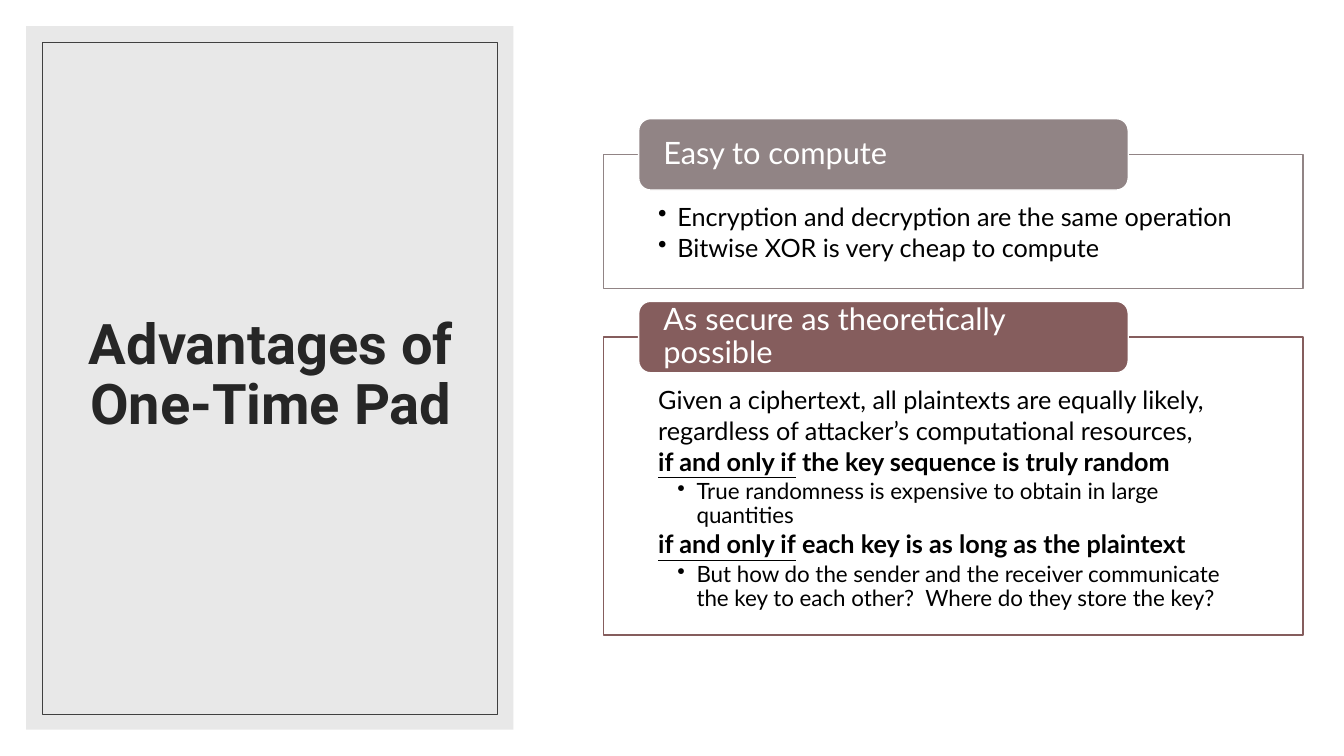
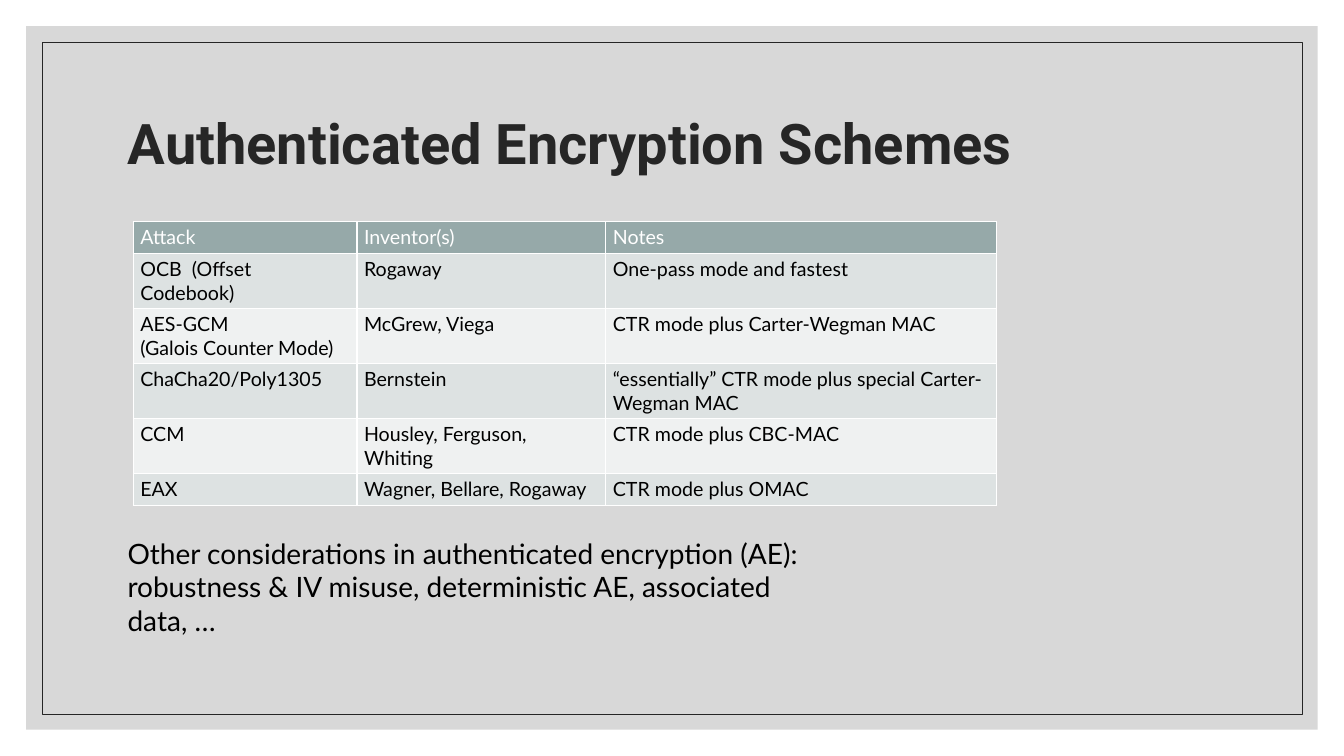
"""Build two slides on one-time pads and authenticated encryption."""
from lxml import etree
from pptx import Presentation, util as u
from pptx.dml.color import RGBColor
from pptx.enum import shapes, text
from pptx.oxml import ns

COLS, ROWS = 128, 72
BOX, ROUND = shapes.MSO_SHAPE.RECTANGLE, shapes.MSO_SHAPE.ROUNDED_RECTANGLE
LEFT, MID = text.PP_ALIGN.LEFT, text.PP_ALIGN.CENTER
WHITE, BLACK, INK = "FFFFFF", "000000", "262626"
GREY, ROSE, SAGE = "918485", "855D5D", "96A9A9"
BANDS = ("DDE2E2", "EFF1F1")
HEAD, BODY = "Roboto", "Lato"


def tint(code):
    return RGBColor.from_string(code)


def node(host, tag, **attrs):
    return etree.SubElement(host, ns.qn(tag), attrs)


class Deck:
    """Hold the style and the current slide."""

    def __init__(self):
        self.deck = Presentation()
        self.deck.slide_width = u.Inches(13.33)
        self.deck.slide_height = u.Inches(7.5)
        self.cell = (self.deck.slide_width / COLS, self.deck.slide_height / ROWS)

    def across(self, cols):
        return int(cols * self.cell[0])

    def down(self, rows):
        return int(rows * self.cell[1])

    def area(self, x, y, wide, high):
        return self.across(x), self.down(y), self.across(wide), self.down(high)

    def page(self):
        self.slide = self.deck.slides.add_slide(self.deck.slide_layouts[5])

    def shape(self, kind, area, fill=None, line=None, weight=1, alpha=100):
        item = self.slide.shapes.add_shape(kind, *self.area(*area))
        item.shadow.inherit = False
        if fill:
            item.fill.solid()
            item.fill.fore_color.rgb = tint(fill)
            if alpha < 100:
                shade = item.fill._xPr.find(".//" + ns.qn("a:srgbClr"))
                node(shade, "a:alpha", val=str(alpha * 1000))
        else:
            item.fill.background()
        if line:
            item.line.color.rgb = tint(line)
            item.line.width = u.Pt(weight)
        else:
            item.line.fill.background()
        return item

    def pad(self, frame, left, top, right, bottom):
        frame.margin_left, frame.margin_right = u.Inches(left), u.Inches(right)
        frame.margin_top, frame.margin_bottom = u.Inches(top), u.Inches(bottom)

    def run(self, para, words, size, color=BLACK, face=BODY, bold=False, under=False):
        bit = para.add_run()
        bit.text = words
        font = bit.font
        font.size, font.name, font.color.rgb = u.Pt(size), face, tint(color)
        font.bold, font.underline = bold, under

    def lines(self, frame, words, size, color=BLACK):
        for spot, line in enumerate(words.split("\n")):
            para = frame.add_paragraph() if spot else frame.paragraphs[0]
            para.alignment = LEFT
            self.run(para, line, size, color)

    def frame(self, wide, fill, line):
        edge, inset = 2.5, 1.5
        high = ROWS - 2 * edge
        self.shape(BOX, (edge, edge, wide, high), fill, alpha=60)
        start = edge + inset
        self.shape(BOX, (start, start, wide - 2 * inset, high - 2 * inset),
                   line=line, weight=0.5)

    def title(self, words, area, align):
        item = self.slide.shapes.title
        item.left, item.top, item.width, item.height = self.area(*area)
        item.element.getparent().append(item.element)
        frame = item.text_frame
        frame.word_wrap = True
        frame.auto_size = text.MSO_AUTO_SIZE.NONE
        frame.vertical_anchor = text.MSO_ANCHOR.MIDDLE
        self.pad(frame, 0.1, 0.05, 0.1, 0.05)
        para = frame.paragraphs[0]
        para.alignment, para.line_spacing = align, 0.9
        self.run(para, words, 40, INK, HEAD, bold=True)

    def card(self, label, color, top, high, paras):
        x, wide, tab = 57.5, 66.6, 6.8
        body = self.shape(BOX, (x, top, wide, high), WHITE, color, alpha=90)
        frame = body.text_frame
        frame.word_wrap = True
        frame.vertical_anchor = text.MSO_ANCHOR.TOP
        self.pad(frame, 0.54, 0.5, 0.54, 0.14)
        for spot, (level, dot, runs) in enumerate(paras):
            para = frame.add_paragraph() if spot else frame.paragraphs[0]
            size = 20 - 2 * level
            props = para._p.get_or_add_pPr()
            props.set("marL", str(u.Inches(0.19 * level)))
            props.set("indent", str(u.Inches(-0.19)))
            if dot:
                node(props, "a:buChar", char="•")
            para.alignment, para.line_spacing = LEFT, 0.9
            para.space_after = u.Pt(0.15 * size)
            for words, bold, under in runs:
                self.run(para, words, size, bold=bold, under=under)
        item = self.shape(ROUND, (x + wide * 0.05, top - tab / 2, wide * 0.7, tab),
                          color, WHITE)
        frame = item.text_frame
        frame.word_wrap = True
        frame.vertical_anchor = text.MSO_ANCHOR.MIDDLE
        self.pad(frame, 0.21, 0.03, 0.21, 0.03)
        self.lines(frame, label, 22, WHITE)
        frame.paragraphs[0].line_spacing = 0.9

    def table(self, x, y, wides, highs, data):
        area = self.area(x, y, sum(wides), sum(highs))
        grid = self.slide.shapes.add_table(len(highs), len(wides), *area).table
        for col, wide in zip(grid.columns, wides):
            col.width = self.across(wide)
        for at, (row, high, words) in enumerate(zip(grid.rows, highs, data)):
            row.height = self.down(high)
            fill = BANDS[(at - 1) % 2] if at else SAGE
            for cell, word in zip(row.cells, words):
                self.pad(cell, 0.07, 0.04, 0.07, 0.04)
                props = cell._tc.get_or_add_tcPr()
                for side in "LRTB":
                    edge = node(props, "a:ln" + side, w=str(u.Pt(1)))
                    node(node(edge, "a:solidFill"), "a:srgbClr", val=WHITE)
                cell.fill.solid()
                cell.fill.fore_color.rgb = tint(fill)
                self.lines(cell.text_frame, word, 14, BLACK if at else WHITE)

    def note(self, words, area):
        frame = self.slide.shapes.add_textbox(*self.area(*area)).text_frame
        frame.word_wrap = True
        self.lines(frame, words, 20)


def plain(words):
    return [(words, False, False)]


def only(words):
    return [("if and only if", True, True), (words, True, False)]


def main():
    deck = Deck()
    deck.page()
    deck.frame(46.4, "D9D9D9", "404040")
    deck.title("Advantages of One-Time Pad", (6, 5.9, 39.6, 59.9), MID)
    deck.card("Easy to compute", GREY, 14.7, 12.8, [
        (1, True, plain("Encryption and decryption are the same operation")),
        (1, True, plain("Bitwise XOR is very cheap to compute")),
    ])
    deck.card("As secure as theoretically possible", ROSE, 32.1, 28.4, [
        (1, False, plain("Given a ciphertext, all plaintexts are equally likely,")),
        (1, False, plain("regardless of attacker’s computational resources,")),
        (1, False, only(" the key sequence is truly random")),
        (2, True, plain("True randomness is expensive to obtain in large quantities")),
        (1, False, only(" each key is as long as the plaintext")),
        (2, True, plain("But how do the sender and the receiver communicate the key "
                        "to each other?  Where do they store the key?")),
    ])

    deck.page()
    deck.frame(COLS - 5, "BFBFBF", INK)
    deck.table(12.7, 21.1, (21.3, 23.7, 37.2), (3, 5.2, 5.2, 5.2, 5.2, 3), [
        ("Attack", "Inventor(s)", "Notes"),
        ("OCB  (Offset Codebook)", "Rogaway", "One-pass mode and fastest"),
        ("AES-GCM\n(Galois Counter Mode)", "McGrew, Viega",
         "CTR mode plus Carter-Wegman MAC"),
        ("ChaCha20/Poly1305", "Bernstein",
         "“essentially” CTR mode plus special Carter-Wegman MAC"),
        ("CCM", "Housley, Ferguson, Whiting", "CTR mode plus CBC-MAC"),
        ("EAX", "Wagner, Bellare, Rogaway", "CTR mode plus OMAC"),
    ])
    deck.note("Other considerations in authenticated encryption (AE):\n"
              "robustness & IV misuse, deterministic AE, associated data, …",
              (11.2, 50.6, 69.4, 7.4))
    deck.title("Authenticated Encryption Schemes", (11.2, 6.7, 105.6, 14.4), LEFT)
    deck.deck.save("out.pptx")


if __name__ == "__main__":
    main()
